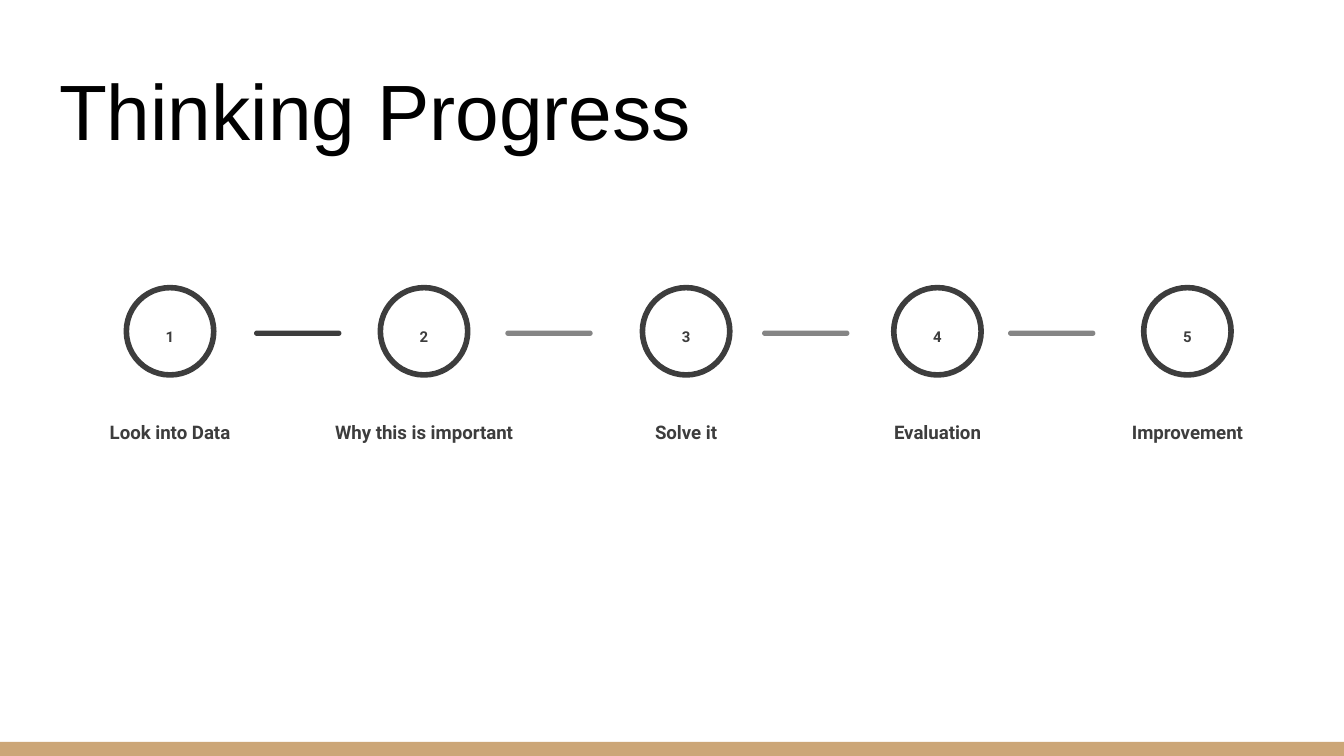
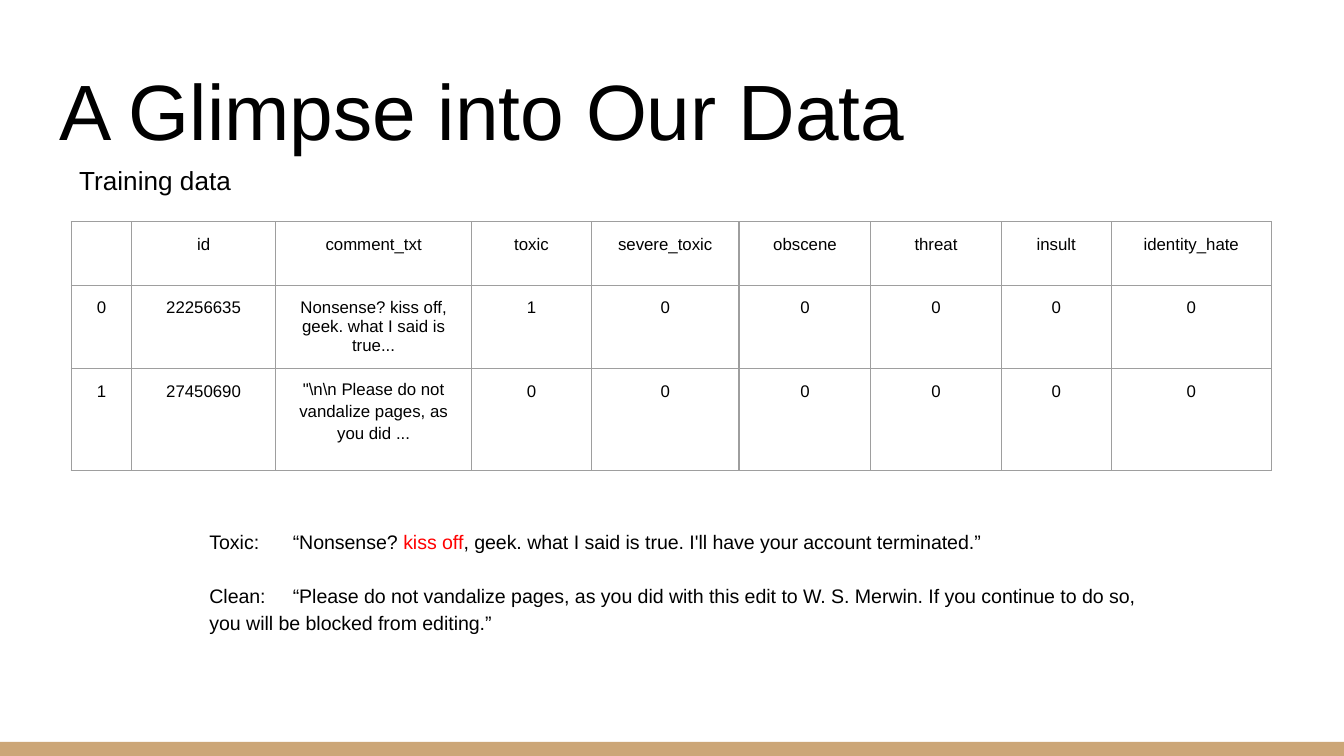
from lxml.etree import SubElement
from pptx import Presentation
from pptx.dml.color import RGBColor
from pptx.enum.shapes import MSO_SHAPE
from pptx.enum.text import MSO_ANCHOR, MSO_AUTO_SIZE, PP_ALIGN
from pptx.oxml.ns import qn
from pptx.util import Inches, Pt

# Shared colours and fonts
BLACK = RGBColor(0x00, 0x00, 0x00)
RED = RGBColor(0xFF, 0x00, 0x00)
TAN = RGBColor(0xCC, 0xA6, 0x77)
DARK_GRAY = RGBColor(0x3D, 0x3D, 0x3D)
MID_GRAY = RGBColor(0x85, 0x85, 0x85)
BORDER_GRAY = RGBColor(0x9E, 0x9E, 0x9E)
BODY_FONT = "Arial"
STEP_FONT = "Roboto"

# Step circles (left edge, label) and the bars between them (left edge, colour)
CIRCLE_SIZE = 0.65
STEPS = [
    (0.94, "Look into Data"),
    (2.83, "Why this is important"),
    (4.78, "Solve it"),
    (6.65, "Evaluation"),
    (8.51, "Improvement"),
]
BARS = [(1.89, DARK_GRAY), (3.76, MID_GRAY), (5.67, MID_GRAY), (7.5, MID_GRAY)]

# Training data
COLUMN_WIDTHS = [0.45, 1.07, 1.46, 0.89, 1.1, 0.98, 0.97, 0.82, 1.19]
ROW_HEIGHTS = [0.34, 0.58, 0.76]
TRAINING_ROWS = [
    ["", "id", "comment_txt", "toxic", "severe_toxic", "obscene", "threat",
     "insult", "identity_hate"],
    ["0", "22256635", "Nonsense? kiss off, geek. what I said is true...",
     "1", "0", "0", "0", "0", "0"],
    ["1", "27450690", r'"\n\n Please do not vandalize pages, as you did ...',
     "0", "0", "0", "0", "0", "0"],
]


def write(para, text, size=10, color=BLACK, font=BODY_FONT, bold=False,
          align=PP_ALIGN.LEFT, line_spacing=1.0, before=0, after=0, tab=None):
    """Fill a paragraph; text is a string or a list of (string, colour) spans."""
    para.alignment = align
    para.line_spacing = line_spacing
    para.space_before = Pt(before)
    para.space_after = Pt(after)
    if tab:
        tabs = SubElement(para._p.get_or_add_pPr(), qn("a:tabLst"))
        SubElement(tabs, qn("a:tab"), pos=str(Inches(tab)), algn="l")
    spans = [(text, color)] if isinstance(text, str) else text
    for words, span_color in spans:
        span = para.add_run()
        span.text = words
        span.font.size = Pt(size)
        span.font.name = font
        span.font.bold = bold
        span.font.color.rgb = span_color


def set_margins(target, inches=0.1):
    target.margin_left = target.margin_right = Inches(inches)
    target.margin_top = target.margin_bottom = Inches(inches)


def prepare_frame(frame, anchor=MSO_ANCHOR.TOP):
    set_margins(frame)
    frame.word_wrap = True
    frame.auto_size = MSO_AUTO_SIZE.NONE
    frame.vertical_anchor = anchor
    return frame


def add_text_box(shapes, left, top, width, height, anchor=MSO_ANCHOR.TOP):
    box = shapes.add_textbox(Inches(left), Inches(top), Inches(width), Inches(height))
    return prepare_frame(box.text_frame, anchor)


def add_preset(shapes, preset, left, top, width, height, fill=None, line=None):
    shape = shapes.add_shape(preset, Inches(left), Inches(top),
                             Inches(width), Inches(height))
    shape.shadow.inherit = False
    if fill is None:
        shape.fill.background()
    else:
        shape.fill.solid()
        shape.fill.fore_color.rgb = fill
    if line is None:
        shape.line.fill.background()
    else:
        shape.line.color.rgb = line
        shape.line.width = Pt(3)
    return shape


def add_page(deck, title_text):
    """Title-only page with the tan footer band."""
    page = deck.slides.add_slide(deck.slide_layouts[5])
    add_preset(page.shapes, MSO_SHAPE.RECTANGLE, 0, 5.52, 10, 0.11, fill=TAN)
    title = page.shapes.title
    title.left, title.top = Inches(0.34), Inches(0.35)
    title.width, title.height = Inches(9.32), Inches(0.91)
    frame = prepare_frame(title.text_frame, MSO_ANCHOR.BOTTOM)
    write(frame.paragraphs[0], title_text, size=42)
    return page


def add_step(page, number, left, label):
    """Numbered circle with its label, grouped."""
    shapes = page.shapes.add_group_shape().shapes
    center = left + CIRCLE_SIZE / 2
    step_format = dict(color=DARK_GRAY, font=STEP_FONT, bold=True,
                       align=PP_ALIGN.CENTER, line_spacing=1.15)
    add_preset(shapes, MSO_SHAPE.OVAL, left, 2.14, CIRCLE_SIZE, CIRCLE_SIZE,
               line=DARK_GRAY)
    frame = add_text_box(shapes, center - 0.24, 2.32, 0.48, 0.35)
    write(frame.paragraphs[0], str(number), size=8, after=16, **step_format)
    frame = add_text_box(shapes, center - 0.84, 2.91, 1.68, 0.49, MSO_ANCHOR.BOTTOM)
    write(frame.paragraphs[0], label, size=10, **step_format)


def add_bar(page, left, color):
    bar = add_preset(page.shapes, MSO_SHAPE.ROUNDED_RECTANGLE, left, 2.46,
                     CIRCLE_SIZE, 0.04, fill=color)
    bar.adjustments[0] = 0.5


def set_borders(cell):
    properties = cell._tc.get_or_add_tcPr()
    for side in ("a:lnL", "a:lnR", "a:lnT", "a:lnB"):
        line = SubElement(properties, qn(side), w=str(Pt(0.75)))
        fill = SubElement(line, qn("a:solidFill"))
        SubElement(fill, qn("a:srgbClr"), val=str(BORDER_GRAY))


def add_training_table(page):
    table = page.shapes.add_table(
        len(ROW_HEIGHTS), len(COLUMN_WIDTHS), Inches(0.53), Inches(1.65),
        Inches(sum(COLUMN_WIDTHS)), Inches(sum(ROW_HEIGHTS))).table
    table.first_row = False
    table.horz_banding = False
    for column, width in zip(table.columns, COLUMN_WIDTHS):
        column.width = Inches(width)
    for row, height, values in zip(table.rows, ROW_HEIGHTS, TRAINING_ROWS):
        row.height = Inches(height)
        for cell, value in zip(row.cells, values):
            set_borders(cell)
            cell.fill.background()
            set_margins(cell)
            para = cell.text_frame.paragraphs[0]
            if value:
                write(para, value, size=9, align=PP_ALIGN.CENTER)
            else:
                # The empty corner cell sets the height of the header row
                SubElement(para._p, qn("a:endParaRPr"), sz="1600")
    # The last comment is set looser and higher than the other cells
    comment = table.cell(2, 2)
    set_margins(comment, 0.06)
    comment.margin_bottom = Inches(0.2)
    comment.vertical_anchor = MSO_ANCHOR.MIDDLE
    comment.text_frame.paragraphs[0].line_spacing = 1.15


def add_examples(page):
    """Toxic and clean comments in full."""
    frame = add_text_box(page.shapes, 1.46, 3.82, 7.32, 1.04)
    example_format = dict(size=10.5, line_spacing=1.15, tab=0.62)
    write(frame.paragraphs[0], [
        ("Toxic:\t“Nonsense? ", BLACK),
        ("kiss off", RED),
        (", geek. what I said is true. I'll have your account terminated.”", BLACK),
    ], **example_format)
    write(frame.add_paragraph(),
          "Clean:\t“Please do not vandalize pages, as you did with this edit to "
          "W. S. Merwin. If you continue to do so, you will be blocked from "
          "editing.”", before=14.5, **example_format)


def main():
    deck = Presentation()
    # Widescreen, 16 to 9
    deck.slide_width = Inches(10)
    deck.slide_height = Inches(10) * 9 // 16

    # Thinking steps
    page = add_page(deck, "Thinking Progress")
    for left, color in BARS:
        add_bar(page, left, color)
    for number, (left, label) in enumerate(STEPS, start=1):
        add_step(page, number, left, label)

    # Training data sample
    page = add_page(deck, "A Glimpse into Our Data")
    add_training_table(page)
    frame = add_text_box(page.shapes, 0.49, 1.12, 1.99, 0.28)
    write(frame.paragraphs[0], "Training data", size=14)
    add_examples(page)

    deck.save("out.pptx")


if __name__ == "__main__":
    main()
